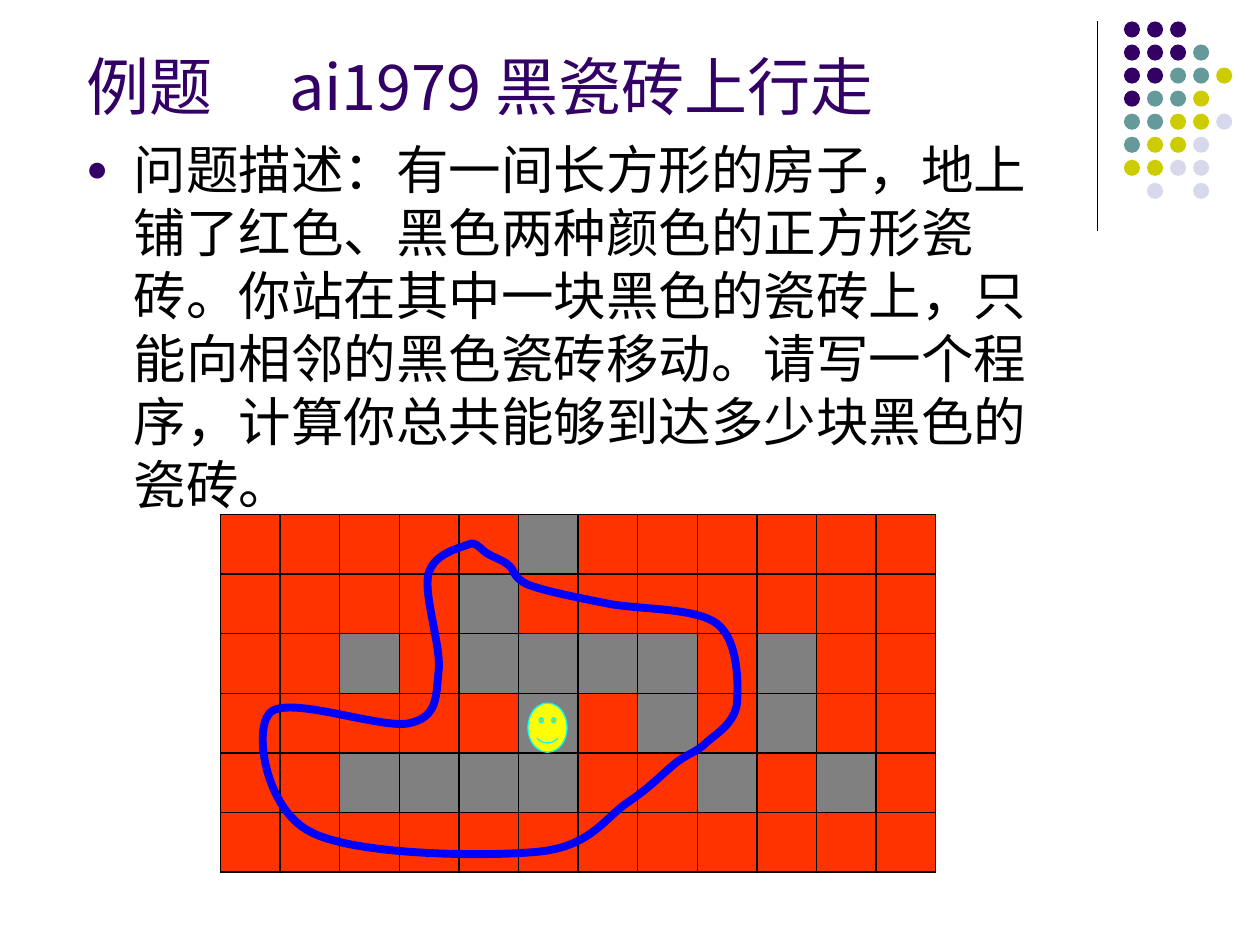
"""Build the slide about walking on black tiles; lengths are hundredths of the slide width."""
from lxml import etree
from pptx import Presentation, util as u
from pptx.dml.color import RGBColor
from pptx.enum import shapes, text
from pptx.oxml.ns import qn

COLOURS = {
    "purple": "330066", "teal": "669999", "olive": "CCCC00", "lilac": "D8D8EC",
    "black": "000000", "red": "FF3300", "grey": "808080",
    "yellow": "FFFF00", "cyan": "00FFFF", "blue": "0000FF",
}
colour = {name: RGBColor.from_string(value) for name, value in COLOURS.items()}

deck = Presentation()
deck.slide_width, deck.slide_height = u.Inches(10), u.Inches(7.5)
unit = deck.slide_width / 100
page = deck.slides.add_slide(deck.slide_layouts[1])


def draw(preset, left, top, width, height, fill, line=None):
    shape = page.shapes.add_shape(preset, *(round(n * unit) for n in (left, top, width, height)))
    shape.shadow.inherit = False
    shape.fill.solid()
    shape.fill.fore_color.rgb = colour[fill]
    if line:
        shape.line.color.rgb = colour[line]
        shape.line.width = u.Pt(0.75)
    else:
        shape.line.fill.background()


def write(box, top, height, spacing, size, font, ink, words):
    box.left, box.width = round(5.83 * unit), round(79.2 * unit)
    box.top, box.height = round(top * unit), round(height * unit)
    frame = box.text_frame
    frame.auto_size = text.MSO_AUTO_SIZE.NONE
    frame.vertical_anchor = text.MSO_ANCHOR.TOP
    para = frame.paragraphs[0]
    para.alignment = text.PP_ALIGN.LEFT
    para.space_before = u.Pt(0)
    para.line_spacing = u.Pt(spacing)
    span = para.add_run()
    span.text = words
    span.font.size = u.Pt(size)
    span.font.name = font
    span.font.color.rgb = colour[ink]
    etree.SubElement(span.font._element, qn("a:ea"), typeface="Noto Sans CJK SC")
    return para


# Corner ornament
rule = page.shapes.add_connector(
    shapes.MSO_CONNECTOR.STRAIGHT, *(round(n * unit) for n in (87.1, 1.7, 87.1, 18.3)))
rule.line.color.rgb = colour["black"]
rule.line.width = u.Pt(0.75)
etree.SubElement(rule._element.spPr, qn("a:effectLst"))

dot_names = {"P": "purple", "T": "teal", "O": "olive", "L": "lilac"}
dot_rows = ["PPP", "PPPT", "PPTTO", "PTTO", "TTOOL", "TOOL", "OOLL", " L L"]
for row, dots in enumerate(dot_rows):
    for column, dot in enumerate(dots):
        if dot in dot_names:
            draw(shapes.MSO_SHAPE.OVAL, 89.2 + 1.83 * column, 1.7 + 1.83 * row,
                 1.28, 1.28, dot_names[dot])

# Heading and problem
write(page.shapes.title, 3.3, 7, 43, 36, "Noto Sans CJK SC", "purple",
      "例题　 ai1979 黑瓷砖上行走")
problem = write(
    page.placeholders[1], 10.4, 30, 36, 30, "Arial", "black",
    "问题描述：有一间长方形的房子，地上铺了红色、黑色两种颜色的正方形瓷砖。"
    "你站在其中一块黑色的瓷砖上，只能向相邻的黑色瓷砖移动。"
    "请写一个程序，计算你总共能够到达多少块黑色的瓷砖。")
layout = problem._p.get_or_add_pPr()
layout.set("marL", str(u.Inches(0.38)))
layout.set("indent", str(-u.Inches(0.38)))
layout.set("hangingPunct", "0")
bullet_colour = etree.SubElement(layout, qn("a:buClr"))
etree.SubElement(bullet_colour, qn("a:srgbClr"), val=COLOURS["purple"])
etree.SubElement(layout, qn("a:buSzPct"), val="70000")
etree.SubElement(layout, qn("a:buFont"), typeface="Arial")
etree.SubElement(layout, qn("a:buChar"), char="●")

# Tiled floor
floor_left, floor_top, tile = 17.5, 40.83, 4.73
floor_rows = [
    ".....#......",
    "....#.......",
    "..#.####.#..",
    ".....#.#.#..",
    "..####..#.#.",
    "............",
]
draw(shapes.MSO_SHAPE.RECTANGLE, floor_left, floor_top, 12 * tile, 6 * tile, "black", "black")
for row, tiles in enumerate(floor_rows):
    for column, mark in enumerate(tiles):
        draw(shapes.MSO_SHAPE.RECTANGLE, floor_left + column * tile, floor_top + row * tile,
             tile, tile, "grey" if mark == "#" else "red", "black")
draw(shapes.MSO_SHAPE.SMILEY_FACE, 41.9, 55.8, 3.1, 3.9, "yellow", "cyan")

# Outline of the reachable area: each row holds two controls and an end point
start = (38.8, 44)
curves = [
    [(39.3, 44.3), (39.8, 44.4), (40.3, 44.8)],
    [(40.9, 45.2), (40.6, 45.8), (41.9, 46.4)],
    [(43.2, 46.9), (45.7, 47.4), (48.2, 47.9)],
    [(50.7, 48.4), (55.2, 48.2), (56.9, 49.5)],
    [(58.6, 50.8), (58.6, 54.2), (58.5, 55.8)],
    [(58.3, 57.4), (56.9, 58.2), (56.1, 58.9)],
    [(55.3, 59.7), (54.8, 59.7), (53.7, 60.5)],
    [(52.7, 61.3), (51.6, 62.5), (49.8, 63.7)],
    [(48, 64.9), (46.9, 67.2), (42.7, 67.6)],
    [(38.5, 68), (28.1, 67.9), (24.6, 66)],
    [(21.1, 64.2), (20.1, 58), (21.4, 56.6)],
    [(22.8, 55.1), (30.2, 57.9), (32.5, 57.4)],
    [(34.7, 56.9), (34.6, 55.4), (34.8, 53.4)],
    [(35.1, 51.5), (33.6, 47.3), (34, 45.6)],
    [(34.4, 43.9), (36.5, 43.5), (37.2, 43.2)],
    [(37.8, 42.9), (38.2, 43.7), start],
]
builder = page.shapes.build_freeform(
    round(start[0] * 10), round(start[1] * 10), scale=unit / 10)
builder.add_line_segments(
    [(round(x * 10), round(y * 10)) for curve in curves for x, y in curve], close=True)
outline = builder.convert_to_shape()
outline.shadow.inherit = False
outline.fill.background()
outline.line.color.rgb = colour["blue"]
outline.line.width = u.Pt(4.5)
segments = list(outline._element.iter(qn("a:lnTo")))
for first, second, third in zip(segments[::3], segments[1::3], segments[2::3]):
    bezier = etree.Element(qn("a:cubicBezTo"))
    first.addprevious(bezier)
    for segment in (first, second, third):
        bezier.append(segment[0])
        segment.getparent().remove(segment)

deck.save("out.pptx")
